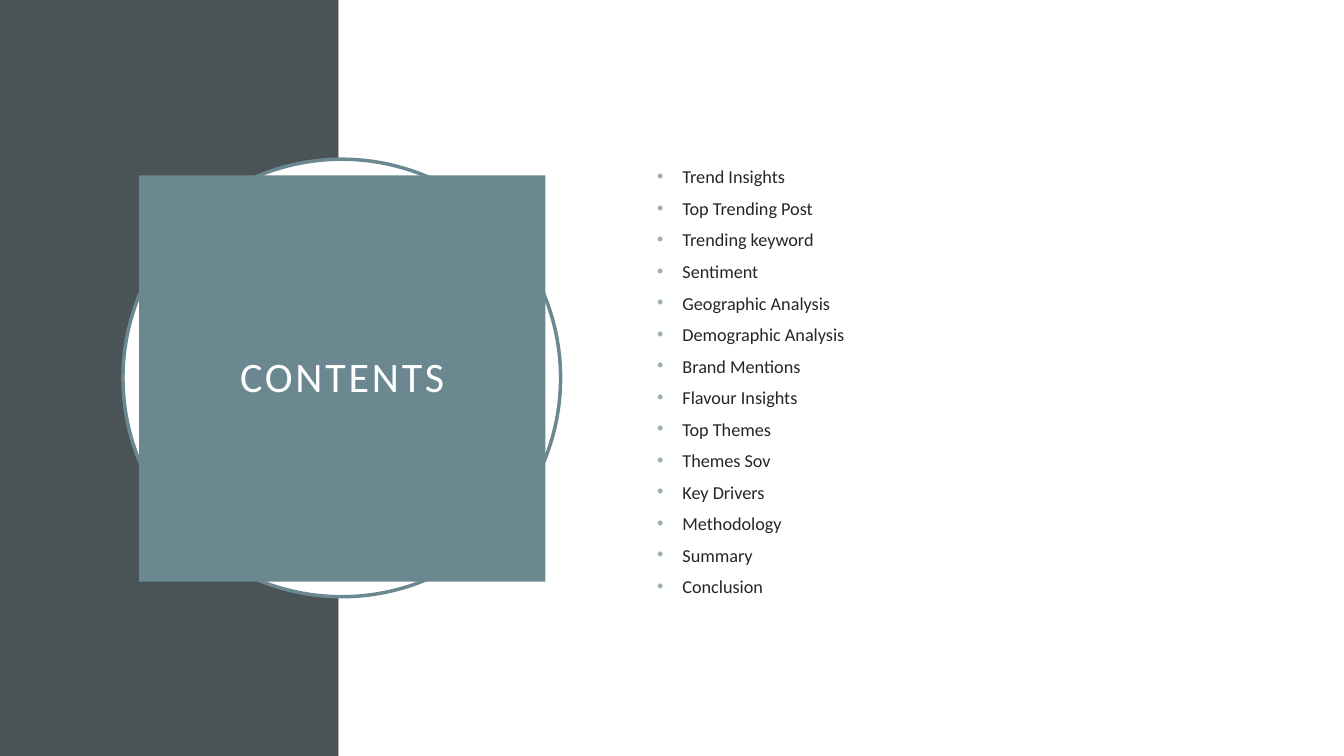
from lxml import etree
from pptx import Presentation
from pptx import util as u
from pptx.dml.color import RGBColor
from pptx.enum import shapes, text
from pptx.oxml.ns import qn

COLORS = {
    "slate": "4A5356",
    "teal": "6B8891",
    "white": "FFFFFF",
    "ink": "262626",
    "bullet": "9BAFB5",
}
FONT = "Calibri"
TOPICS = [
    "Trend Insights", "Top Trending Post", "Trending keyword", "Sentiment",
    "Geographic Analysis", "Demographic Analysis", "Brand Mentions",
    "Flavour Insights", "Top Themes", "Themes Sov", "Key Drivers",
    "Methodology", "Summary", "Conclusion",
]


class ContentsSlide:
    """Hold the slide and its style, and add each kind of element."""

    def __init__(self, prs):
        self.slide = prs.slides.add_slide(prs.slide_layouts[5])

    def color(self, name):
        return RGBColor.from_string(COLORS[name])

    def fill(self, sp, name):
        sp.fill.solid()
        sp.fill.fore_color.rgb = self.color(name)

    def place(self, sp, *box):
        sp.left, sp.top, sp.width, sp.height = map(u.Inches, box)

    def style(self, p, size, color, line_spacing):
        p.font.name = FONT
        p.font.size = u.Pt(size)
        p.font.color.rgb = self.color(color)
        p.line_spacing = line_spacing

    def shape(self, kind, box, fill, line=None):
        sp = self.slide.shapes.add_shape(kind, *map(u.Inches, box))
        sp.shadow.inherit = False
        self.fill(sp, fill)
        if line:
            sp.line.color.rgb = self.color(line)
            sp.line.width = u.Pt(2.5)
        else:
            sp.line.fill.background()

    def title(self, caption, box):
        sp = self.slide.shapes.title
        sp.element.getparent().append(sp.element)
        self.place(sp, *box)
        self.fill(sp, "teal")
        tf = sp.text_frame
        tf.text = caption
        tf.word_wrap = True
        tf.auto_size = text.MSO_AUTO_SIZE.NONE
        tf.vertical_anchor = text.MSO_ANCHOR.MIDDLE
        tf.margin_left = tf.margin_right = u.Inches(0.2)
        tf.margin_top = tf.margin_bottom = u.Inches(0.2)
        p = tf.paragraphs[0]
        p.alignment = text.PP_ALIGN.CENTER
        self.style(p, 30, "white", 0.9)
        p.runs[0].font._element.set("spc", "200")

    def bullets(self, items, box):
        sp = self.slide.shapes.add_textbox(*map(u.Inches, box))
        tf = sp.text_frame
        tf.word_wrap = True
        tf.vertical_anchor = text.MSO_ANCHOR.MIDDLE
        tf.text = "\n".join(items)
        for p in tf.paragraphs:
            self.style(p, 13, "ink", 0.8)
            p.space_before = u.Pt(10)
            self.bullet(p)

    def bullet(self, p):
        pPr = p._p.get_or_add_pPr()
        pPr.set("marL", str(u.Inches(0.38)))
        pPr.set("indent", str(u.Inches(-0.25)))
        mark = etree.Element(qn("a:buChar"), char="•")
        tint = etree.Element(qn("a:buClr"))
        etree.SubElement(tint, qn("a:srgbClr"), val=COLORS["bullet"])
        face = etree.Element(qn("a:buFont"), typeface="Arial")
        at = pPr.index(pPr.find(qn("a:spcBef"))) + 1
        pPr[at:at] = [tint, face, mark]


def main():
    prs = Presentation()
    prs.slide_width, prs.slide_height = u.Inches(13.33), u.Inches(7.5)
    s = ContentsSlide(prs)
    kinds = shapes.MSO_SHAPE
    s.shape(kinds.RECTANGLE, (0, 0, 3.36, 7.5), "slate")
    s.shape(kinds.RECTANGLE, (3.36, 0, 9.97, 7.5), "white")
    s.shape(kinds.OVAL, (1.22, 1.58, 4.34, 4.34), "white", "teal")
    s.title("CONTENTS", (1.38, 1.74, 4.03, 4.03))
    s.bullets(TOPICS, (6.29, 1.59, 5.82, 4.43))
    prs.save("out.pptx")


if __name__ == "__main__":
    main()
